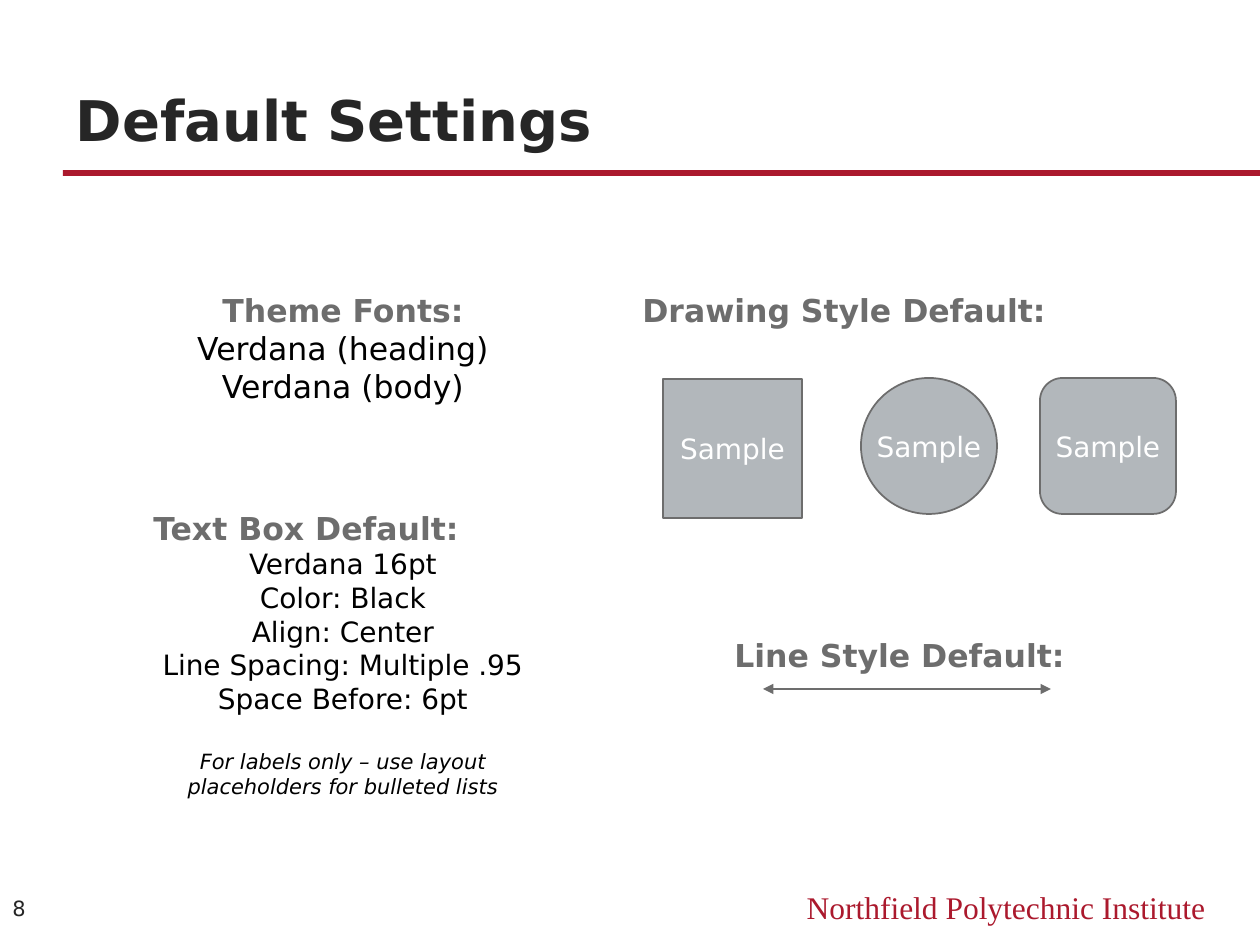
from lxml.etree import SubElement
from pptx import Presentation
from pptx.dml.color import RGBColor
from pptx.enum.shapes import MSO_CONNECTOR as Connector, MSO_SHAPE as Shape
from pptx.enum.text import MSO_ANCHOR as Anchor, MSO_AUTO_SIZE as AutoSize, PP_ALIGN as Align
from pptx.oxml.ns import qn
from pptx.util import Pt

PX = 914400 / 126
RED, GRAY, SILVER, DARK, BLACK, WHITE = "AB192D", "6D6D6D", "B2B7BB", "262626", "000000", "FFFFFF"
SANS, SERIF = "DejaVu Sans", "Times New Roman"

# Text formats
TITLE = dict(size=32, color=DARK, bold=True)
HEADING = dict(size=18, color=GRAY, bold=True)
CENTERED_HEADING = dict(HEADING, align=Align.CENTER)
FONT_NAME = dict(size=18, color=BLACK, align=Align.CENTER)
SETTING = dict(size=16, color=BLACK, align=Align.CENTER)
NOTE = dict(size=12, color=BLACK, italic=True, align=Align.CENTER, before=19)
SAMPLE = dict(size=16, color=WHITE, align=Align.CENTER)
FOOTER = dict(size=18, color=RED, name=SERIF, align=Align.RIGHT)
NUMBER = dict(size=12, color=DARK)

# Content: box in px (left, top, width, height), anchor, paragraphs
TITLE_BOX = (63, 48, 1134, 111)
RULE_BOX = (63, 170, 1197, 6)
TEXT_BOXES = [
    ((141, 285, 404, 127), Anchor.TOP, [
        ("Theme Fonts:", CENTERED_HEADING),
        ("Verdana (heading)", FONT_NAME),
        ("Verdana (body)", FONT_NAME),
    ]),
    ((141, 503, 404, 305), Anchor.TOP, [
        ("Text Box Default:", HEADING),
        ("Verdana 16pt", SETTING),
        ("Color: Black", SETTING),
        ("Align: Center", SETTING),
        ("Line Spacing: Multiple .95", SETTING),
        ("Space Before: 6pt", SETTING),
        ("For labels only – use layout placeholders for bulleted lists", NOTE),
    ]),
    ((630, 285, 554, 79), Anchor.TOP, [("Drawing Style Default:", HEADING)]),
    ((722, 630, 370, 79), Anchor.TOP, [("Line Style Default:", HEADING)]),
    ((756, 882, 462, 50), Anchor.TOP, [("Northfield Polytechnic Institute", FOOTER)]),
    ((0, 881, 63, 54), Anchor.MIDDLE, [("8", NUMBER)]),
]
SAMPLES = [
    (Shape.RECTANGLE, (663, 379, 139, 139)),
    (Shape.OVAL, (861, 378, 136, 136)),
    (Shape.ROUNDED_RECTANGLE, (1040, 378, 136, 136)),
]
ARROW = (763, 689, 1051, 689)


def px(*lengths):
    return [round(length * PX) for length in lengths]


def rgb(color):
    return RGBColor.from_string(color)


def write(frame, paragraphs, anchor, wrap=True):
    settings = dict(word_wrap=wrap, auto_size=AutoSize.NONE, vertical_anchor=anchor)
    for key, value in settings.items():
        setattr(frame, key, value)
    for index, (text, style) in enumerate(paragraphs):
        paragraph = frame.add_paragraph() if index else frame.paragraphs[0]
        paragraph.alignment = style.get("align", Align.LEFT)
        paragraph.space_before = Pt(style.get("before", 0))
        run = paragraph.add_run()
        run.text = text
        font = dict(name=style.get("name", SANS), size=Pt(style["size"]),
                    bold=style.get("bold", False), italic=style.get("italic", False))
        for key, value in font.items():
            setattr(run.font, key, value)
        run.font.color.rgb = rgb(style["color"])


def add_filled(slide, kind, box, fill, line=None):
    shape = slide.shapes.add_shape(kind, *px(*box))
    shape.shadow.inherit = False
    shape.fill.solid()
    shape.fill.fore_color.rgb = rgb(fill)
    if line:
        shape.line.color.rgb = rgb(line)
        shape.line.width = Pt(1)
    else:
        shape.line.fill.background()
    return shape


def add_double_arrow(slide, ends):
    arrow = slide.shapes.add_connector(Connector.STRAIGHT, *px(*ends))
    arrow.line.color.rgb = rgb(GRAY)
    arrow.line.width = Pt(1.5)
    for end in ("a:headEnd", "a:tailEnd"):
        SubElement(arrow.line._get_or_add_ln(), qn(end), type="triangle")
    SubElement(arrow._element.spPr, qn("a:effectLst"))


def main():
    presentation = Presentation()
    presentation.slide_width, presentation.slide_height = px(1260, 945)
    slide = presentation.slides.add_slide(presentation.slide_layouts[5])

    title = slide.shapes.title
    title.left, title.top, title.width, title.height = px(*TITLE_BOX)
    write(title.text_frame, [("Default Settings", TITLE)], Anchor.BOTTOM)
    add_filled(slide, Shape.RECTANGLE, RULE_BOX, RED)

    for box, anchor, paragraphs in TEXT_BOXES:
        write(slide.shapes.add_textbox(*px(*box)).text_frame, paragraphs, anchor)
    for kind, box in SAMPLES:
        sample = add_filled(slide, kind, box, SILVER, GRAY)
        write(sample.text_frame, [("Sample", SAMPLE)], Anchor.MIDDLE, wrap=False)
    add_double_arrow(slide, ARROW)

    presentation.save("out.pptx")


if __name__ == "__main__":
    main()
